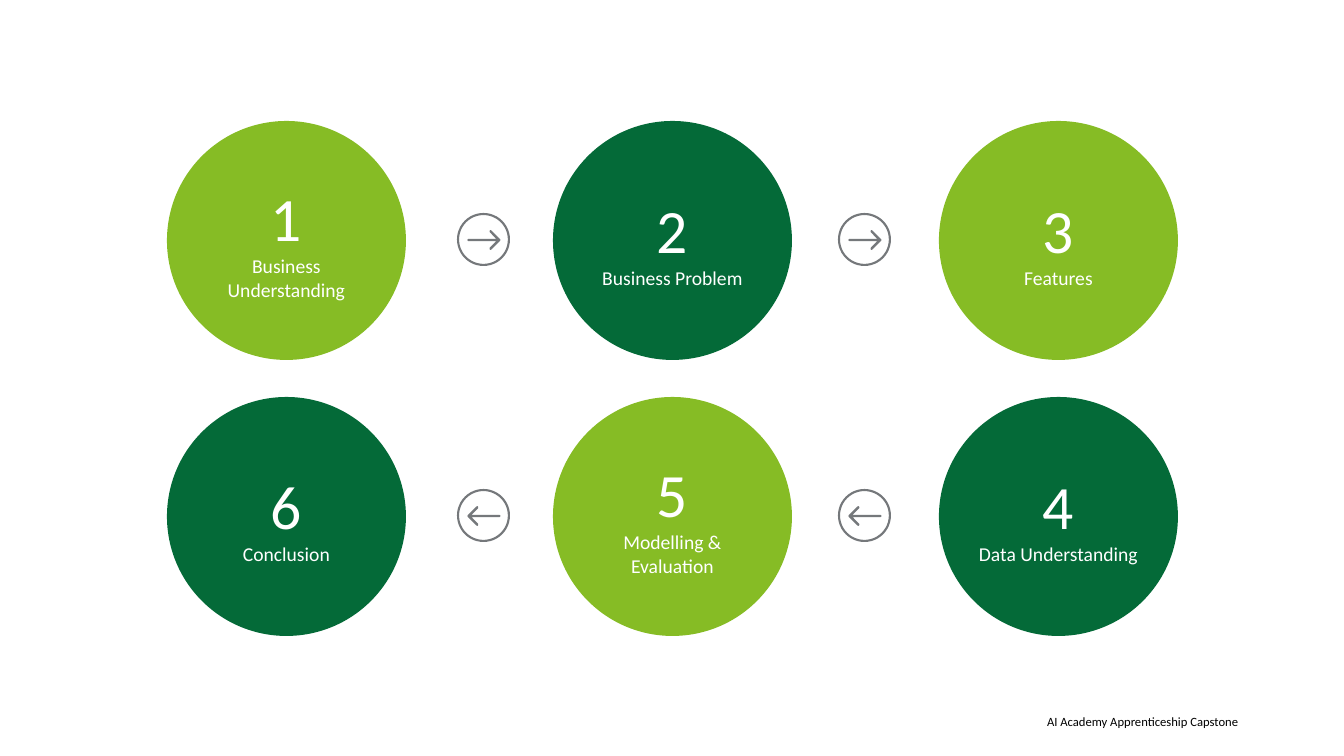
from pptx import Presentation
from pptx import util as u
from pptx.dml.color import RGBColor
from pptx.enum import shapes, text

PX = 914400 / 100.8
LIME = RGBColor(0x86, 0xBC, 0x25)
GREEN = RGBColor(0x04, 0x6A, 0x38)
GREY = RGBColor(0x75, 0x78, 0x7B)
WHITE = RGBColor(0xFF, 0xFF, 0xFF)
BLACK = RGBColor(0x00, 0x00, 0x00)

LEFT, TOP, SIZE = 167, 121, 239
COL, ROW = 386, 276
RING = 53
HALF = [(-165, 0), (-162, -8), (-155, -11), (123, -11), (57, -79),
        (57, -92), (64, -99), (74, -96), (162, -8), (165, 0)]


def px(n):
    return round(n * PX)


def write(para, words, size, tone, align):
    para.alignment = align
    run = para.add_run()
    run.text = words
    run.font.name = "Calibri"
    run.font.size = u.Pt(size)
    run.font.color.rgb = tone


deck = Presentation()
deck.slide_width = px(1344)
deck.slide_height = px(756)
slide = deck.slides.add_slide(deck.slide_layouts[6])

foot = slide.shapes.add_textbox(px(699), px(714), px(539), px(15))
frame = foot.text_frame
frame.word_wrap = True
frame.margin_left = frame.margin_right = 0
frame.margin_top = frame.margin_bottom = 0
write(frame.paragraphs[0], "AI Academy Apprenticeship Capstone", 9, BLACK,
      text.PP_ALIGN.RIGHT)

for mid_x, mid_y, way in [(484, 240, 1), (865, 240, 1),
                          (865, 516, -1), (484, 516, -1)]:
    edge = HALF + [(x, -y) for x, y in HALF[-2:0:-1]]
    pen = slide.shapes.build_freeform(way * edge[0][0], 0, scale=PX / 10)
    pen.add_line_segments([(way * x, y) for x, y in edge[1:]], close=True)
    arrow = pen.convert_to_shape(px(mid_x), px(mid_y))
    ring = slide.shapes.add_shape(
        shapes.MSO_SHAPE.DONUT, px(mid_x - 27), px(mid_y - 27),
        px(RING), px(RING))
    ring.adjustments[0] = 0.04
    for part in (arrow, ring):
        part.shadow.inherit = False
        part.fill.solid()
        part.fill.fore_color.rgb = GREY
        part.line.fill.background()

steps = [
    ("Business Understanding", 0, 0),
    ("Business Problem", 1, 0),
    ("Features", 2, 0),
    ("Data Understanding", 2, 1),
    ("Modelling & Evaluation", 1, 1),
    ("Conclusion", 0, 1),
]
for num, (label, col, row) in enumerate(steps, 1):
    disc = slide.shapes.add_shape(
        shapes.MSO_SHAPE.OVAL, px(LEFT + col * COL), px(TOP + row * ROW),
        px(SIZE), px(SIZE))
    disc.shadow.inherit = False
    disc.fill.solid()
    disc.fill.fore_color.rgb = LIME if num % 2 else GREEN
    disc.line.fill.background()
    frame = disc.text_frame
    frame.word_wrap = True
    frame.vertical_anchor = text.MSO_ANCHOR.MIDDLE
    frame.margin_left = frame.margin_right = 0
    frame.margin_top = frame.margin_bottom = 0
    write(frame.paragraphs[0], str(num), 44, WHITE, text.PP_ALIGN.CENTER)
    write(frame.add_paragraph(), label, 14, WHITE, text.PP_ALIGN.CENTER)

deck.save("out.pptx")
